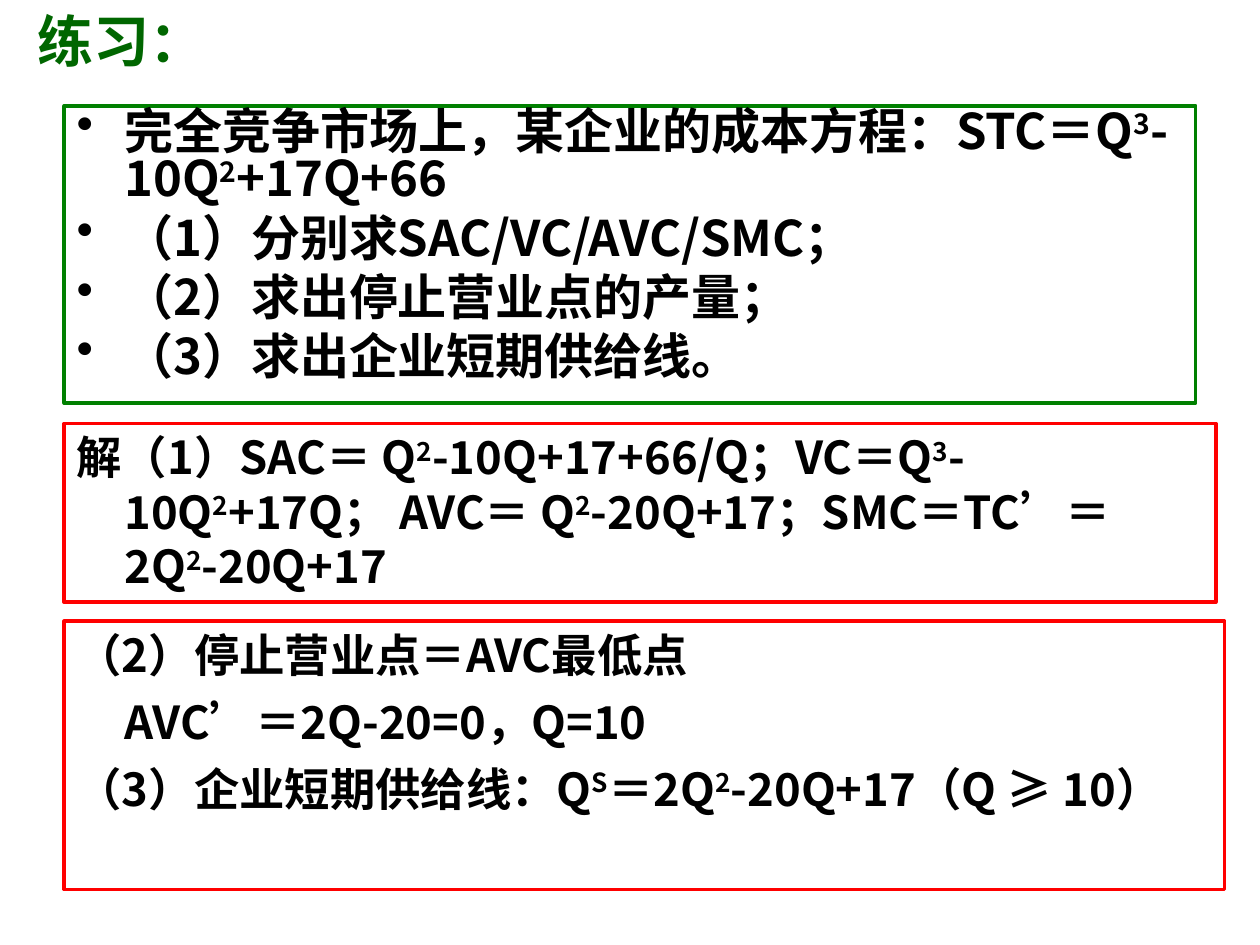
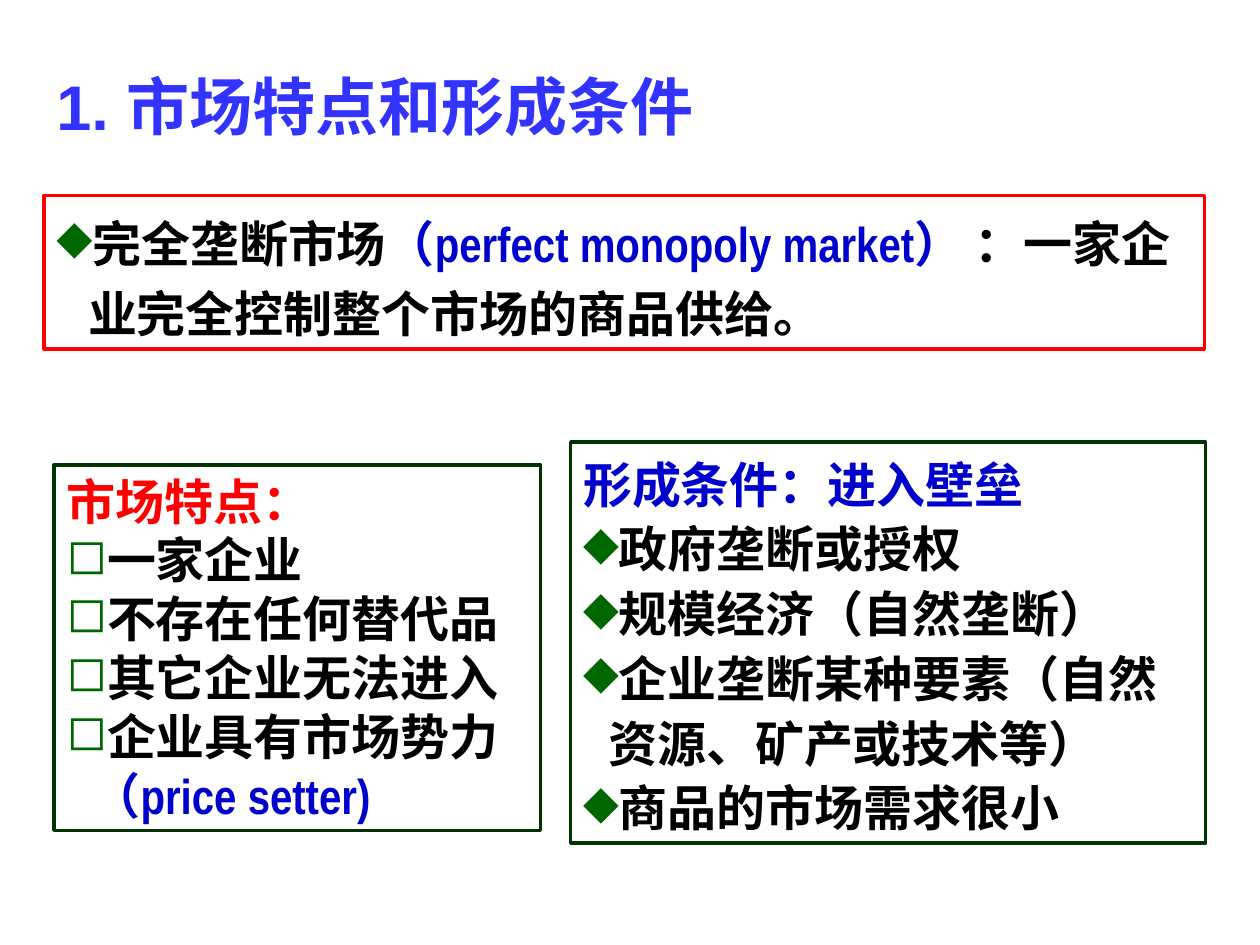
from lxml.etree import SubElement
from pptx import Presentation
from pptx.dml.color import RGBColor
from pptx.enum.shapes import MSO_SHAPE
from pptx.enum.text import MSO_ANCHOR, PP_ALIGN
from pptx.oxml.ns import qn
from pptx.util import Inches, Pt

BLACK = RGBColor(0x00, 0x00, 0x00)
WHITE = RGBColor(0xFF, 0xFF, 0xFF)
RED = RGBColor(0xFF, 0x00, 0x00)
GREEN = RGBColor(0x00, 0x80, 0x00)
DARK_GREEN = RGBColor(0x00, 0x33, 0x00)
LEAF = RGBColor(0x00, 0x66, 0x00)
BLUE = RGBColor(0x00, 0x00, 0xCC)
TITLE_BLUE = RGBColor(0x33, 0x33, 0xFF)
CJK = "Noto Sans CJK SC"


class Deck:
    def __init__(self):
        self.prs = Presentation()
        self.prs.slide_width = Inches(10)
        self.prs.slide_height = Inches(7.5)
        self.s = None

    def slide(self):
        self.s = self.prs.slides.add_slide(self.prs.slide_layouts[6])

    def style(self, r, size, font, color):
        r.font.size = Pt(size)
        r.font.bold = True
        r.font.name = font
        r.font.color.rgb = color
        SubElement(r.font._element, qn("a:ea")).set("typeface", CJK)

    def add_runs(self, p, runs, size, font):
        if isinstance(runs, str):
            runs = [(runs, BLACK)]
        for text, color in runs:
            for i, part in enumerate(text.split("^")):
                pieces = [(part, False)] if i == 0 else [(part[0], True), (part[1:], False)]
                for piece, raised in pieces:
                    if piece:
                        r = p.add_run()
                        r.text = piece
                        self.style(r, size, font, color)
                        if raised:
                            r.font._element.set("baseline", "30000")

    def indent(self, p, left, first):
        pPr = p._p.get_or_add_pPr()
        pPr.set("marL", str(Inches(left)))
        pPr.set("indent", str(Inches(first)))

    def bullet(self, p, char, color, percent=100):
        pPr = p._p.get_or_add_pPr()
        clr = SubElement(pPr, qn("a:buClr"))
        SubElement(clr, qn("a:srgbClr")).set("val", str(color))
        SubElement(pPr, qn("a:buSzPct")).set("val", str(percent * 1000))
        SubElement(pPr, qn("a:buChar")).set("char", char)

    def title(self, text, left, top, width, height, size, font, color):
        tf = self.s.shapes.add_textbox(Inches(left), Inches(top), Inches(width), Inches(height)).text_frame
        tf.word_wrap = True
        tf.vertical_anchor = MSO_ANCHOR.MIDDLE
        p = tf.paragraphs[0]
        self.add_runs(p, [(text, color)], size, font)

    def box(self, left, top, width, height, line, paragraphs, size=28, font=CJK,
            spacing=None, before=0, hang=0.0, char=None, char_color=LEAF, percent=100,
            heading=None, anchor=MSO_ANCHOR.TOP, flush=()):
        sp = self.s.shapes.add_shape(MSO_SHAPE.RECTANGLE, Inches(left), Inches(top),
                                     Inches(width), Inches(height))
        sp.shadow.inherit = False
        sp.fill.solid()
        sp.fill.fore_color.rgb = WHITE
        sp.line.color.rgb = line
        sp.line.width = Pt(2)
        tf = sp.text_frame
        tf.word_wrap = True
        tf.vertical_anchor = anchor
        rows = ([[heading]] if heading else []) + paragraphs
        for i, runs in enumerate(rows):
            p = tf.paragraphs[0] if i == 0 else tf.add_paragraph()
            p.alignment = PP_ALIGN.LEFT
            if spacing:
                p.line_spacing = spacing
            if i and before:
                p.space_before = Pt(before)
            if not (heading and i == 0):
                self.indent(p, hang, 0 if i in flush else -hang)
                if char:
                    self.bullet(p, char, char_color, percent)
            self.add_runs(p, runs, size, font)


def exercise(deck):
    deck.slide()
    deck.title("练习：", 0.2, 0, 1.57, 0.63, 32, CJK, LEAF)
    deck.box(0.51, 0.84, 8.98, 2.36, GREEN, [
        "完全竞争市场上，某企业的成本方程：STC＝Q^3-10Q^2+17Q+66",
        "（1）分别求SAC/VC/AVC/SMC；",
        "（2）求出停止营业点的产量；",
        "（3）求出企业短期供给线。",
    ], spacing=0.8, before=7, hang=0.38, char="•", char_color=BLACK)
    deck.box(0.51, 3.36, 9.14, 1.42, RED, [
        "解（1）SAC＝ Q^2-10Q+17+66/Q；VC＝Q^3-10Q^2+17Q； AVC＝ Q^2-20Q+17；"
        "SMC＝TC’＝ 2Q^2-20Q+17",
    ], size=25.9, hang=0.38)
    deck.box(0.51, 4.93, 9.21, 2.13, RED, [
        "（2）停止营业点＝AVC最低点",
        "AVC’＝2Q-20=0，Q=10",
        "（3）企业短期供给线：Q^S＝2Q^2-20Q+17（Q ≥ 10）",
    ], size=25.9, before=7, hang=0.38, flush=(1,))


def monopoly(deck):
    deck.slide()
    deck.title("1. 市场特点和形成条件", 0.35, 0.44, 8.66, 0.79, 36, "Arial", TITLE_BLUE)
    deck.box(0.35, 1.55, 9.21, 1.22, RED, [
        [("完全垄断市场", BLACK), ("（perfect monopoly market）", BLUE),
         (" ：一家企业完全控制整个市场的商品供给。", BLACK)],
    ], font="Arial Narrow", spacing=1.2, hang=0.25, char="◆", percent=95)
    deck.box(0.43, 3.69, 3.86, 2.9, DARK_GREEN, [
        "一家企业",
        "不存在任何替代品",
        "其它企业无法进入",
        [("企业具有市场势力", BLACK), ("（price setter)", BLUE)],
    ], font="Arial Narrow", hang=0.2, char="◻",
        heading=("市场特点：", RED), anchor=MSO_ANCHOR.MIDDLE)
    deck.box(4.53, 3.51, 5.04, 3.18, DARK_GREEN, [
        "政府垄断或授权",
        "规模经济（自然垄断）",
        "企业垄断某种要素（自然资源、矿产或技术等）",
        "商品的市场需求很小",
    ], spacing=1.1, hang=0.2, char="◆", percent=95, heading=("形成条件：进入壁垒", BLUE))


def main():
    deck = Deck()
    exercise(deck)
    monopoly(deck)
    deck.prs.save("out.pptx")


if __name__ == "__main__":
    main()
